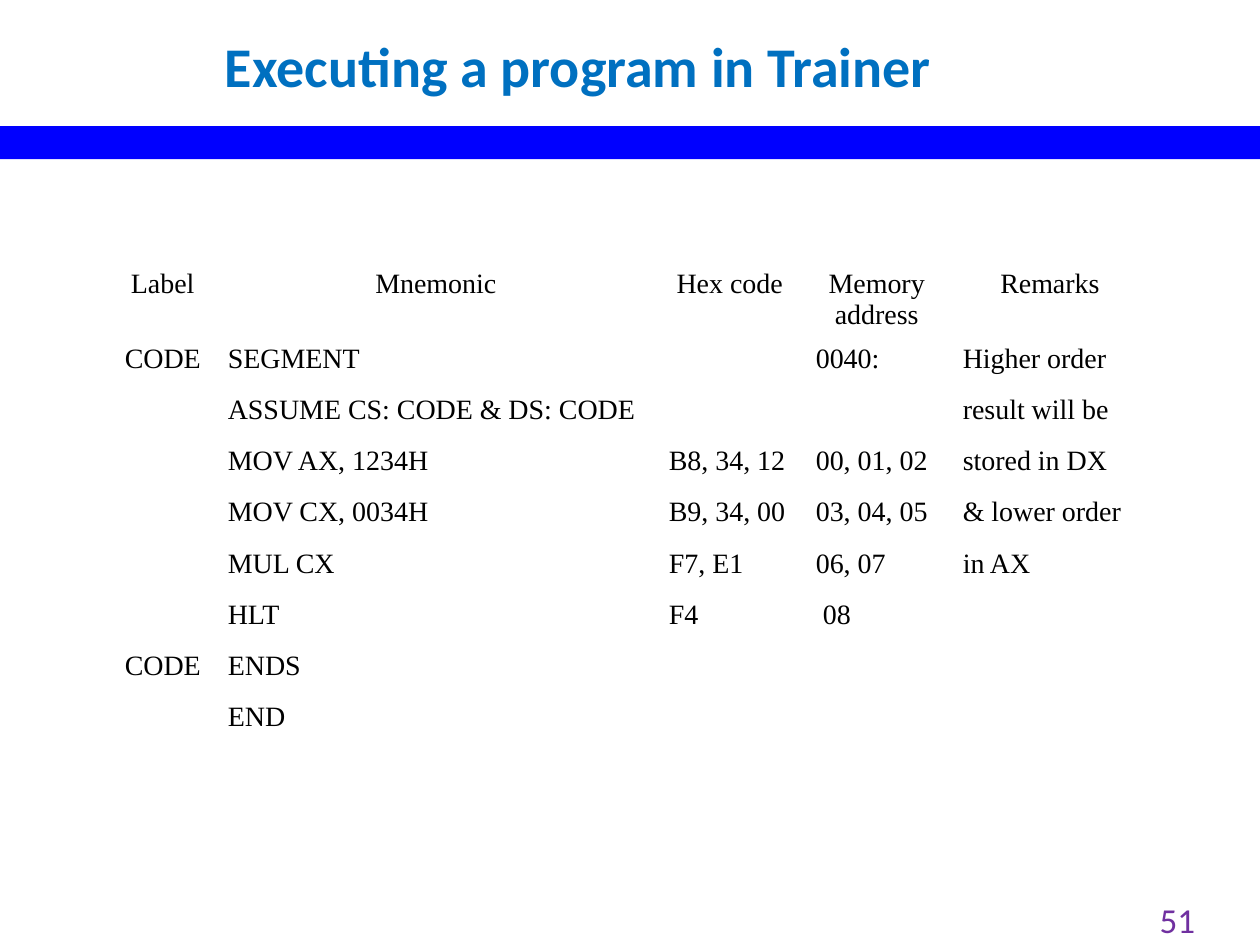
import pptx
import pptx.util
import pptx.dml.color
import pptx.enum.shapes
import pptx.enum.text
from dataclasses import dataclass

Align = pptx.enum.text.PP_ALIGN
Anchor = pptx.enum.text.MSO_ANCHOR


@dataclass(frozen=True)
class Theme:
    heading_font: str = "Calibri"
    table_font: str = "Times New Roman"
    title_color: str = "0070C0"
    band_color: str = "0000FF"
    number_color: str = "7030A0"
    table_color: str = "000000"
    title_size: int = 32
    number_size: int = 20
    table_size: int = 16


theme = Theme()
presentation = pptx.Presentation()
presentation.slide_width = pptx.util.Inches(10)
presentation.slide_height = pptx.util.Inches(7.5)
slide = presentation.slides.add_slide(presentation.slide_layouts[6])
column = presentation.slide_width / 120
row = presentation.slide_height / 90


def place(left, top, width, height):
    return int(left * column), int(top * row), int(width * column), int(height * row)


def write(frame, text, font, size, color, alignment, bold=False):
    paragraph = frame.paragraphs[0]
    paragraph.text = text
    paragraph.alignment = alignment
    paragraph.font.name = font
    paragraph.font.size = pptx.util.Pt(size)
    paragraph.font.bold = bold
    paragraph.font.color.rgb = pptx.dml.color.RGBColor.from_string(color)


listing = [
    ["Label", "Mnemonic", "Hex code", "Memory address", "Remarks"],
    ["CODE", "SEGMENT", "", "0040:", "Higher order"],
    ["", "ASSUME CS: CODE & DS: CODE", "", "", "result will be"],
    ["", "MOV AX, 1234H", "B8, 34, 12", "00, 01, 02", "stored in DX"],
    ["", "MOV CX, 0034H", "B9, 34, 00", "03, 04, 05", "& lower order"],
    ["", "MUL CX", "F7, E1", "06, 07", "in AX"],
    ["", "HLT", "F4", " 08", ""],
    ["CODE", "ENDS", "", "", ""],
    ["", "END", "", "", ""],
]
column_spans = [10, 42, 14, 14, 19]
row_spans = [7.1] + [4.87] * (len(listing) - 1)
table = slide.shapes.add_table(
    len(listing), len(column_spans), *place(10.5, 25, sum(column_spans), sum(row_spans))
).table
table.first_row = False
table.horz_banding = False
for table_column, span in zip(table.columns, column_spans):
    table_column.width = int(span * column)
for table_row, span in zip(table.rows, row_spans):
    table_row.height = int(span * row)
for row_index, texts in enumerate(listing):
    for column_index, text in enumerate(texts):
        cell = table.cell(row_index, column_index)
        cell.fill.background()
        centered = row_index == 0 or column_index == 0
        write(cell.text_frame, text, theme.table_font, theme.table_size,
              theme.table_color, Align.CENTER if centered else Align.LEFT)

number = slide.shapes.add_textbox(*place(87, 85.2, 28, 4.8)).text_frame
number.word_wrap = True
number.vertical_anchor = Anchor.MIDDLE
write(number, "51", theme.heading_font, theme.number_size, theme.number_color, Align.RIGHT)

title = slide.shapes.add_textbox(*place(20.25, 2.4, 97.7, 7.7)).text_frame
title.word_wrap = True
title.auto_size = pptx.enum.text.MSO_AUTO_SIZE.SHAPE_TO_FIT_TEXT
write(title, "Executing a program in Trainer", theme.heading_font, theme.title_size,
      theme.title_color, Align.LEFT, bold=True)

band = slide.shapes.add_shape(
    pptx.enum.shapes.MSO_SHAPE.RECTANGLE, *place(0, 12, 120, 3.15)
)
band.shadow.inherit = False
band.fill.solid()
band.fill.fore_color.rgb = pptx.dml.color.RGBColor.from_string(theme.band_color)
band.line.fill.background()

presentation.save("out.pptx")
